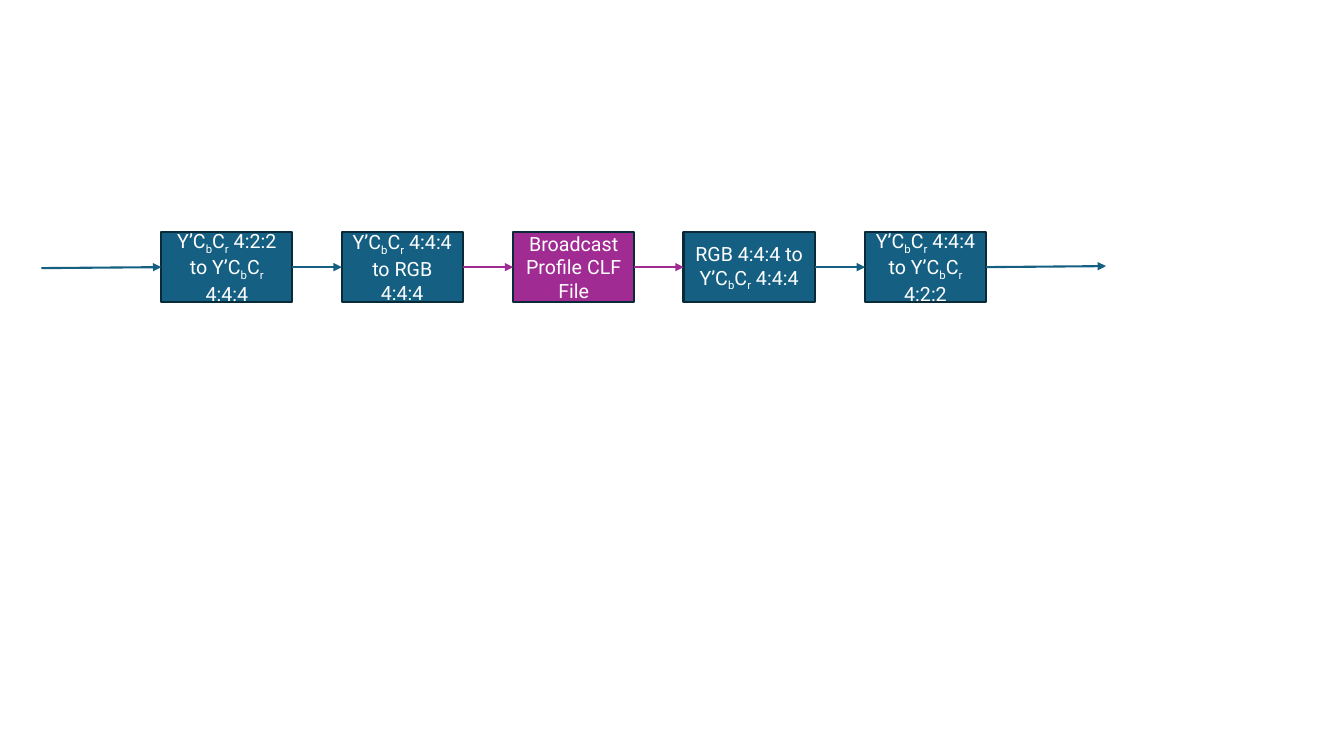
import itertools

import pptx
import pptx.dml.color
import pptx.enum.shapes
import pptx.enum.text
import pptx.oxml
import pptx.oxml.ns
import pptx.util

BLUE = pptx.dml.color.RGBColor(0x15, 0x60, 0x82)
PURPLE = pptx.dml.color.RGBColor(0xA0, 0x2B, 0x93)
NAVY = pptx.dml.color.RGBColor(0x09, 0x2A, 0x39)
WHITE = pptx.dml.color.RGBColor(0xFF, 0xFF, 0xFF)

EMU_PER_PX = 9144  # 100 px to the inch
LEFT_SIDE, RIGHT_SIDE = 1, 3
ROW_TOP, ROW_HEIGHT = 230, 70
ROW_MIDDLE = ROW_TOP + ROW_HEIGHT // 2

YCC = "Y’C_b_C_r_"  # text between underscores is subscript


def px(n):
    return pptx.util.Emu(n * EMU_PER_PX)


class Diagram:
    font = "Roboto"
    size = pptx.util.Pt(14)
    line_width = pptx.util.Pt(1.5)

    def __init__(self, slide):
        self.s = slide

    def box(self, left, width, text, fill):
        sp = self.s.shapes.add_shape(
            pptx.enum.shapes.MSO_SHAPE.RECTANGLE,
            px(left), px(ROW_TOP), px(width), px(ROW_HEIGHT))
        sp.shadow.inherit = False
        sp.fill.solid()
        sp.fill.fore_color.rgb = fill
        sp.line.color.rgb = NAVY
        sp.line.width = self.line_width
        tf = sp.text_frame
        tf.word_wrap = True
        tf.vertical_anchor = pptx.enum.text.MSO_ANCHOR.MIDDLE
        p = tf.paragraphs[0]
        p.alignment = pptx.enum.text.PP_ALIGN.CENTER
        for i, part in enumerate(text.split("_")):
            r = p.add_run()
            r.text = part
            r.font.name = self.font
            r.font.size = self.size
            r.font.color.rgb = WHITE
            if i % 2:
                r._r.get_or_add_rPr().set("baseline", "-25000")
        return sp

    def arrow(self, start, end, color, source=None, target=None):
        c = self.s.shapes.add_connector(
            pptx.enum.shapes.MSO_CONNECTOR.STRAIGHT, *map(px, start + end))
        if source is not None:
            c.begin_connect(source, RIGHT_SIDE)
        if target is not None:
            c.end_connect(target, LEFT_SIDE)
        c.line.color.rgb = color
        c.line.width = self.line_width
        ln = c.line._get_or_add_ln()
        pptx.oxml.ns.qn("a:tailEnd")
        tail = ln.makeelement(pptx.oxml.ns.qn("a:tailEnd"), {"type": "triangle"})
        ln.append(tail)
        sp_pr = c._element.spPr
        sp_pr.append(sp_pr.makeelement(pptx.oxml.ns.qn("a:effectLst"), {}))


def main():
    prs = pptx.Presentation()
    prs.slide_width, prs.slide_height = px(1333), px(750)
    d = Diagram(prs.slides.add_slide(prs.slide_layouts[6]))

    # Processing steps: left, width, text, fill
    steps = [
        (160, 130, f"{YCC} 4:2:2 to {YCC} 4:4:4", BLUE),
        (339, 120, f"{YCC} 4:4:4 to RGB 4:4:4", BLUE),
        (509, 120, "Broadcast Profile CLF File", PURPLE),
        (678, 130, f"RGB 4:4:4 to {YCC} 4:4:4", BLUE),
        (858, 120, f"{YCC} 4:4:4 to {YCC} 4:2:2", BLUE),
    ]
    boxes = [d.box(*step) for step in steps]

    # Arrows between steps, purple around the CLF file
    for (a, step_a), (b, step_b) in itertools.pairwise(zip(boxes, steps)):
        color = PURPLE if PURPLE in (step_a[3], step_b[3]) else BLUE
        d.arrow((step_a[0] + step_a[1], ROW_MIDDLE), (step_b[0], ROW_MIDDLE),
                color, a, b)

    # Signal in and signal out
    d.arrow((41, ROW_MIDDLE + 1), (160, ROW_MIDDLE), BLUE, target=boxes[0])
    d.arrow((978, ROW_MIDDLE), (1097, ROW_MIDDLE - 1), BLUE, source=boxes[-1])

    prs.save("out.pptx")


if __name__ == "__main__":
    main()
